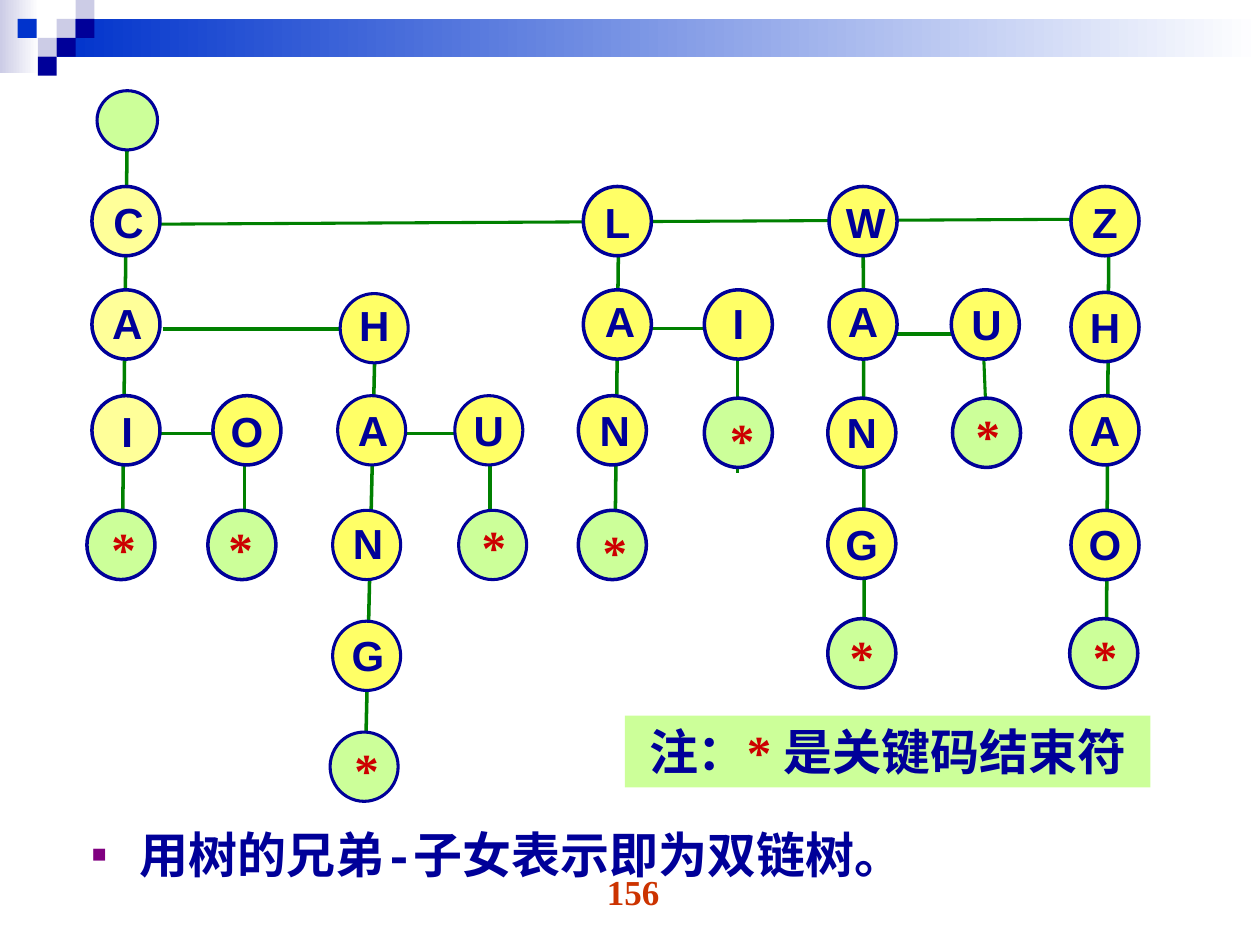
from lxml.etree import SubElement
from pptx import Presentation
from pptx.dml.color import RGBColor
from pptx.enum.shapes import MSO_CONNECTOR, MSO_SHAPE
from pptx.enum.text import MSO_ANCHOR, MSO_AUTO_SIZE, PP_ALIGN
from pptx.oxml.ns import qn
from pptx.util import Inches, Pt

NAVY, BLUE, LAVENDER, WHITE = "000099", "0033CC", "CCCCE6", "FFFFFF"
GREEN, LIME, RED = "008000", "CCFF99", "CC0000"
PALE, YELLOW = "FFFF99", "FFFF66"
SERIF, SANS, MONO = "Times New Roman", "Arial", "Courier New"

# left, top
SQUARES = [
    (0.45, 0.15, LAVENDER), (0.6, 0, LAVENDER), (0.6, 0.15, NAVY),
    (0.3, 0.3, LAVENDER), (0.14, 0.15, BLUE), (0.45, 0.3, NAVY),
    (0.3, 0.45, NAVY),
]

# x1, y1, x2, y2, width
LINKS = [
    (3.89, 3.59, 3.89, 4.11, 2), (1.01, 1.04, 0.97, 4.42, 2),
    (1.94, 3.59, 1.94, 4.22, 2), (2.98, 2.57, 2.9, 6.04, 2),
    (1.29, 2.61, 3.14, 2.61, 2), (4.87, 2.61, 5.67, 2.61, 1.75),
    (6.97, 2.65, 7.77, 2.65, 2), (1.09, 1.78, 8.61, 1.74, 1.75),
    (1.94, 3.44, 1.01, 3.44, 2), (2.9, 3.44, 4.05, 3.44, 2),
    (4.91, 1.82, 4.88, 4.42, 2), (5.85, 2.85, 5.85, 3.75, 1.75),
    (6.85, 1.66, 6.86, 5.25, 2), (7.8, 2.65, 7.84, 3.63, 1.75),
    (8.8, 1.86, 8.78, 5.33, 2),
]

# One entry per column: letter fill, outline width, and its nodes from the top
# as (text, circle left, circle top, label left, label top)
COLUMNS = [
    (PALE, 2, [("C", 0.73, 1.48, 0.66, 1.51), ("A", 0.73, 2.3, 0.65, 2.31),
               ("I", 0.73, 3.14, 0.65, 3.17), ("*", 0.69, 4.05, 0.62, 4.07)]),
    (YELLOW, 2, [("O", 1.69, 3.14, 1.6, 3.17), ("*", 1.65, 4.05, 1.55, 4.07)]),
    (YELLOW, 1.75, [("H", 2.7, 2.33, 2.61, 2.33), ("A", 2.68, 3.14, 2.6, 3.16),
                    ("N", 2.64, 4.05, 2.56, 4.06), ("G", 2.64, 4.93, 2.56, 4.95),
                    ("*", 2.62, 5.81, 2.55, 5.82)]),
    (YELLOW, 1.75, [("U", 3.61, 3.14, 3.52, 3.16), ("*", 3.64, 4.05, 3.56, 4.05)]),
    (YELLOW, 2, [("L", 4.63, 1.48, 4.54, 1.51), ("A", 4.63, 2.3, 4.56, 2.3),
                 ("N", 4.59, 3.14, 4.52, 3.16), ("*", 4.59, 4.05, 4.52, 4.09)]),
    (YELLOW, 2, [("I", 5.59, 2.3, 5.5, 2.31), ("*", 5.59, 3.16, 5.53, 3.2)]),
    (YELLOW, 2, [("W", 6.58, 1.48, 6.51, 1.51), ("A", 6.58, 2.3, 6.49, 2.3),
                 ("N", 6.57, 3.16, 6.48, 3.18), ("G", 6.57, 4.04, 6.48, 4.07),
                 ("*", 6.57, 4.91, 6.48, 4.92)]),
    (YELLOW, 2, [("U", 7.55, 2.3, 7.47, 2.32), ("*", 7.56, 3.16, 7.48, 3.17)]),
    (YELLOW, 2, [("Z", 8.5, 1.48, 8.41, 1.51), ("H", 8.5, 2.32, 8.41, 2.34),
                 ("A", 8.5, 3.14, 8.41, 3.16), ("O", 8.5, 4.05, 8.41, 4.07),
                 ("*", 8.49, 4.91, 8.41, 4.92)]),
]


def rgb(value):
    return RGBColor.from_string(value)


def add_run(p, text, size=28, color=NAVY, font=SERIF):
    r = p.add_run()
    r.text = text
    r.font.size, r.font.name, r.font.bold = Pt(size), font, True
    r.font.color.rgb = rgb(color)


def set_bullet(p, char, color, percent, indent):
    pPr = p._p.get_or_add_pPr()
    pPr.set("marL", str(Inches(indent)))
    pPr.set("indent", str(-Inches(indent)))
    SubElement(SubElement(pPr, qn("a:buClr")), qn("a:srgbClr")).set("val", color)
    SubElement(pPr, qn("a:buSzPct")).set("val", str(percent * 1000))
    SubElement(pPr, qn("a:buFont")).set("typeface", SANS)
    SubElement(pPr, qn("a:buChar")).set("char", char)


class TreeSlide:
    """Draws the elements of a linked tree on one slide."""

    def __init__(self, slide):
        self.s = slide

    def shape(self, kind, x, y, w, h, fill, line_width=None):
        """A fill given as a pair of colours becomes a left-to-right gradient."""
        sp = self.s.shapes.add_shape(kind, Inches(x), Inches(y), Inches(w), Inches(h))
        sp.shadow.inherit = False
        if isinstance(fill, tuple):
            sp.fill.gradient()
            sp.fill.gradient_angle = 0
            for stop, color in zip(sp.fill.gradient_stops, fill):
                stop.color.rgb = rgb(color)
        else:
            sp.fill.solid()
            sp.fill.fore_color.rgb = rgb(fill)
        if line_width:
            sp.line.color.rgb = rgb(NAVY)
            sp.line.width = Pt(line_width)
        else:
            sp.line.fill.background()
        return sp

    def rect(self, x, y, w, h, fill):
        return self.shape(MSO_SHAPE.RECTANGLE, x, y, w, h, fill)

    def link(self, x1, y1, x2, y2, width):
        c = self.s.shapes.add_connector(
            MSO_CONNECTOR.STRAIGHT, Inches(x1), Inches(y1), Inches(x2), Inches(y2))
        c.line.color.rgb = rgb(GREEN)
        c.line.width = Pt(width)
        SubElement(c._element.spPr, qn("a:effectLst"))

    def label(self, text, x, y, w, h, **style):
        tf = self.s.shapes.add_textbox(Inches(x), Inches(y), Inches(w), Inches(h)).text_frame
        tf.word_wrap = True
        p = tf.paragraphs[0]
        p.alignment = PP_ALIGN.CENTER
        add_run(p, text, **style)

    def node(self, text, x, y, label_x, label_y, fill, width):
        end = text == "*"
        self.shape(MSO_SHAPE.OVAL, x, y, 0.54, 0.55, LIME if end else fill, width)
        if end:
            self.label(text, label_x, label_y, 0.72, 0.57, color=RED)
        else:
            self.label(text, label_x, label_y, 0.72, 0.5, size=24, font=SANS)

    def note(self):
        tf = self.rect(4.96, 5.68, 4.17, 0.57, LIME).text_frame
        tf.word_wrap = False
        tf.vertical_anchor = MSO_ANCHOR.TOP
        p = tf.paragraphs[0]
        p.alignment = PP_ALIGN.CENTER
        for text, color in [("注：", NAVY), ("* ", RED), ("是关键码结束符", NAVY)]:
            add_run(p, text, color=color)

    def body(self):
        sp = self.s.placeholders[1]
        sp.left, sp.top, sp.width, sp.height = map(Inches, (0.63, 6.47, 9, 0.68))
        tf = sp.text_frame
        tf.auto_size = MSO_AUTO_SIZE.NONE
        tf.vertical_anchor = MSO_ANCHOR.TOP
        p = tf.paragraphs[0]
        p.line_spacing = 1.05
        p.space_before = Pt(0)
        set_bullet(p, "■", "800080", 50, 0.38)
        for text, font in [("用树的兄弟", SERIF), ("-", MONO), ("子女表示即为双链树。", SERIF)]:
            add_run(p, text, font=font)


def main():
    prs = Presentation()
    prs.slide_width, prs.slide_height = Inches(10), Inches(7.5)
    s = prs.slides.add_slide(prs.slide_layouts[1])
    title = s.shapes.title._element
    title.getparent().remove(title)

    tree = TreeSlide(s)
    tree.rect(0, 0, 0.31, 0.58, (LAVENDER, WHITE))
    tree.rect(0.45, 0.15, 9.55, 0.3, (BLUE, WHITE))
    for x, y, color in SQUARES:
        tree.rect(x, y, 0.15, 0.15, color)

    tree.label("156", 3.86, 6.86, 2.33, 0.52, size=20, color="CC3300")
    tree.body()

    for link in LINKS:
        tree.link(*link)
    tree.shape(MSO_SHAPE.OVAL, 0.77, 0.72, 0.48, 0.47, LIME, 1.75)
    for fill, width, nodes in COLUMNS:
        for node in nodes:
            tree.node(*node, fill, width)
    tree.note()

    prs.save("out.pptx")


if __name__ == "__main__":
    main()
